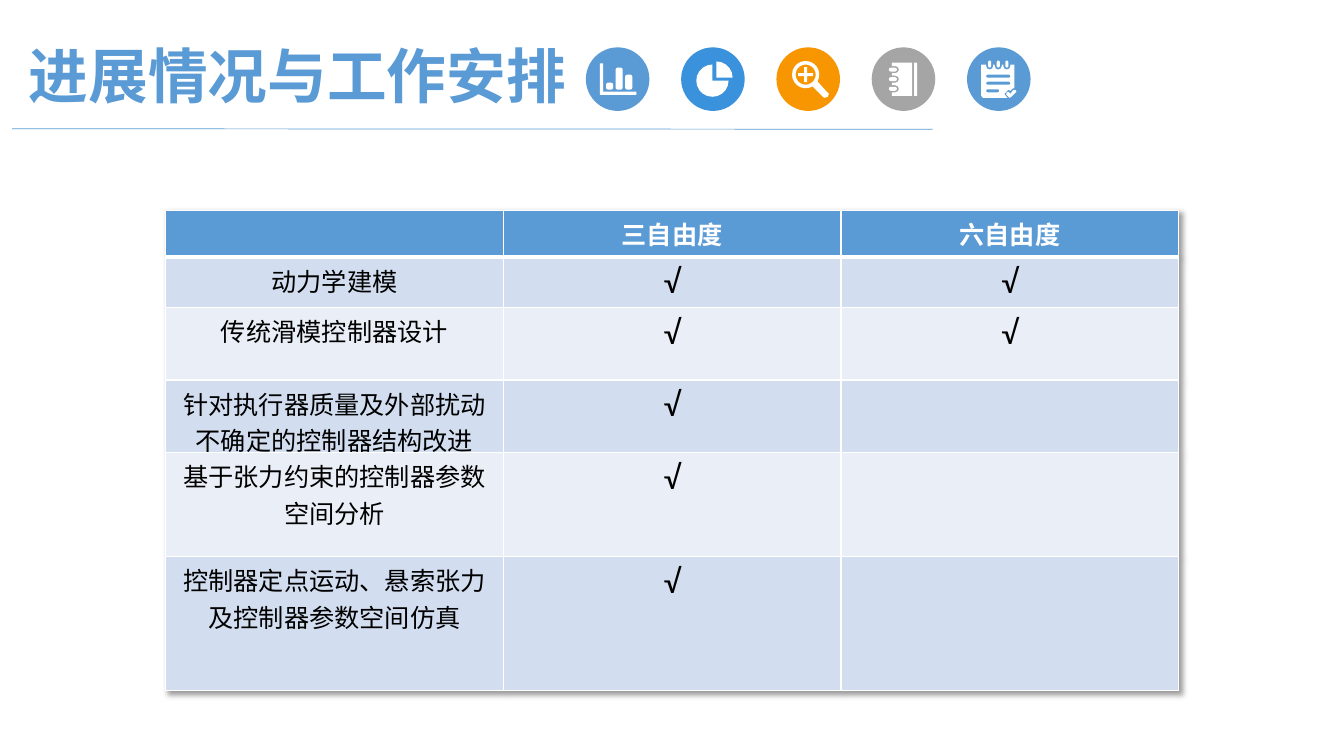
import dataclasses
import math

import lxml.etree
import pptx
import pptx.dml.color
import pptx.enum.shapes
import pptx.enum.text
import pptx.oxml
import pptx.oxml.ns
import pptx.shapes.autoshape
import pptx.slide
import pptx.table
import pptx.text.text
import pptx.util

RGBColor = pptx.dml.color.RGBColor
BLUE = RGBColor(0x5B, 0x9B, 0xD5)
BRIGHT_BLUE = RGBColor(0x39, 0x92, 0xDB)
ORANGE = RGBColor(0xF7, 0x96, 0x00)
GREY = RGBColor(0xA5, 0xA5, 0xA5)
BAND_DARK = RGBColor(0xD2, 0xDE, 0xEF)
BAND_LIGHT = RGBColor(0xEA, 0xEF, 0xF7)
WHITE = RGBColor(0xFF, 0xFF, 0xFF)
BLACK = RGBColor(0x00, 0x00, 0x00)

SLIDE_WIDTH = pptx.util.Inches(13.33)
SLIDE_HEIGHT = pptx.util.Inches(7.5)
TITLE_FONT = "Noto Sans CJK SC"
TABLE_FONT = "Calibri"
DISC_UNITS = 63  # icon outlines lie on a 63 x 63 grid inside their disc
FINE = 100

Point = tuple[float, float]
Contour = list[Point]


@dataclasses.dataclass
class Icon:
    disc: RGBColor
    contours: list[Contour]


@dataclasses.dataclass
class Step:
    label: str
    height: float
    three_dof: bool = False
    six_dof: bool = False


def across(percent: float) -> pptx.util.Emu:
    return pptx.util.Emu(round(SLIDE_WIDTH * percent / 100))


def down(percent: float) -> pptx.util.Emu:
    return pptx.util.Emu(round(SLIDE_HEIGHT * percent / 100))


def arc(x: float, y: float, radius: float, start: int, end: int) -> Contour:
    """Points along an arc; degrees run clockwise from the right."""
    count = math.ceil(abs(end - start) / (18 if radius > 5 else 45))
    angles = [math.radians(start + (end - start) * i / count) for i in range(count + 1)]
    return [(x + radius * math.cos(a), y + radius * math.sin(a)) for a in angles]


def rounded(left: float, top: float, right: float, bottom: float, radius: float = 1.5) -> Contour:
    return (arc(right - radius, bottom - radius, radius, 0, 90)
            + arc(left + radius, bottom - radius, radius, 90, 180)
            + arc(left + radius, top + radius, radius, 180, 270)
            + arc(right - radius, top + radius, radius, 270, 360))


def bar_chart() -> list[Contour]:
    axes = [(14, 16), (17, 16), (17, 44), (50, 44), (50, 47), (14, 47)]
    return [axes] + [rounded(left, top, left + 7, 42, 2)
                     for left, top in ((20, 35), (29.5, 20), (39, 27))]


def pie() -> list[Contour]:
    return [[(35, 30)] + arc(35, 30, 16, -90, 0), [(31, 33)] + arc(31, 33, 16, 0, 270)]


def magnifier() -> list[Contour]:
    x, y, reach, half = 29, 27, 7.5, 1.5
    handle = [(50, 44), (52, 46), (51, 49), (48, 50), (46, 49)]
    plus = [(-half, -reach), (half, -reach), (half, -half), (reach, -half),
            (reach, half), (half, half), (half, reach), (-half, reach),
            (-half, half), (-reach, half), (-reach, -half), (-half, -half)]
    return [arc(x, y, 13.5, 60, 390) + handle, arc(x, y, 10, 0, 360),
            [(x + dx, y + dy) for dx, dy in plus]]


def notebook() -> list[Contour]:
    ring_rows = (22, 31.5, 41)
    cover = [(20, 15), (40, 15), (40, 48), (20, 48)]
    for y in reversed(ring_rows):
        cover += [(20, y + 3.5)] + arc(23.5, y, 3.5, 90, -90) + [(20, y - 3.5)]
    return [cover, [(42, 15), (45, 15), (45, 48), (42, 48)]] + [
        rounded(17, y - 2, 25, y + 2, 1.9) for y in ring_rows]


def checklist() -> list[Contour]:
    ring_columns = (22.5, 31, 39.5)
    page = [(14, 17)]
    for x in ring_columns:
        page += [(x - 3.5, 17)] + arc(x, 18.5, 3.5, 180, 0) + [(x + 3.5, 17)]
    page += [(47, 17), (47, 40), (45, 41), (43, 43), (41, 42), (37, 46),
             (40, 50), (16, 50), (14, 48)]
    check = [(48, 45), (44, 49), (42, 50), (39, 47), (39, 45), (41, 44),
             (43, 46), (46, 42), (48, 42), (49, 44)]
    lines = [rounded(19, top, right, top + 3, 1.4) for top, right in ((27, 43), (34, 43), (41.5, 32))]
    return [page, check] + lines + [rounded(x - 1.5, 13, x + 1.5, 20) for x in ring_columns]


ICONS = [Icon(BLUE, bar_chart()), Icon(BRIGHT_BLUE, pie()), Icon(ORANGE, magnifier()),
         Icon(GREY, notebook()), Icon(BLUE, checklist())]
HEADINGS = ("", "三自由度", "六自由度")
HEADING_HEIGHT = 6.13
TABLE_HEIGHT = 69.07
STEPS = [
    Step("动力学建模", 6.13, three_dof=True, six_dof=True),
    Step("传统滑模控制器设计", 9.6, three_dof=True, six_dof=True),
    Step("针对执行器质量及外部扰动不确定的控制器结构改进", 9.6, three_dof=True),
    Step("基于张力约束的控制器参数空间分析", 13.73, three_dof=True),
    Step("控制器定点运动、悬索张力及控制器参数空间仿真", 17.73, three_dof=True),
]


def write(paragraph: pptx.text.text._Paragraph, text: str, font: str, size: float,
          color: RGBColor, bold: bool = False) -> None:
    paragraph.text = text
    paragraph.alignment = pptx.enum.text.PP_ALIGN.CENTER
    paragraph.font.name = font
    paragraph.font.size = pptx.util.Pt(size)
    paragraph.font.bold = bold
    paragraph.font.color.rgb = color


def add_title(slide: pptx.slide.Slide) -> None:
    frame = slide.shapes.add_textbox(across(0.9), down(5.07), across(42.46), down(9.6)).text_frame
    frame.word_wrap = True
    frame.vertical_anchor = pptx.enum.text.MSO_ANCHOR.MIDDLE
    write(frame.paragraphs[0], "进展情况与工作安排", TITLE_FONT, 42.6, BLUE, bold=True)


def paint(shape: pptx.shapes.autoshape.Shape, color: RGBColor) -> None:
    shape.fill.solid()
    shape.fill.fore_color.rgb = color
    shape.line.fill.background()
    shape.shadow.inherit = False


def add_icon(slide: pptx.slide.Slide, icon: Icon, column: int) -> None:
    left, top, size = across(43.59 + 7.09 * column), down(6.27), across(4.73)
    paint(slide.shapes.add_shape(pptx.enum.shapes.MSO_SHAPE.OVAL, left, top, size, size), icon.disc)
    outlines = [[(x * FINE, y * FINE) for x, y in contour] for contour in icon.contours]
    builder = slide.shapes.build_freeform(*outlines[0][0], scale=size / (DISC_UNITS * FINE))
    for index, outline in enumerate(outlines):
        if index:
            builder.move_to(*outline[0])
        builder.add_line_segments(outline[1:], close=True)
    paint(builder.convert_to_shape(left, top), WHITE)


def set_borders(cell: pptx.table._Cell, top: float, bottom: float) -> None:
    widths = {"L": 1, "R": 1, "T": top, "B": bottom}
    for index, (side, width) in enumerate(widths.items()):
        cell._tc.get_or_add_tcPr().insert(index, pptx.oxml.parse_xml(
            f'<a:ln{side} {pptx.oxml.ns.nsdecls("a")} w="{pptx.util.Pt(width)}">'
            f'<a:solidFill><a:srgbClr val="{WHITE}"/></a:solidFill></a:ln{side}>'))


def add_progress_table(slide: pptx.slide.Slide) -> None:
    heights = [HEADING_HEIGHT] + [step.height for step in STEPS]
    frame = slide.shapes.add_table(len(heights), len(HEADINGS), across(12.32), down(27.87),
                                   across(75.38), down(TABLE_HEIGHT))
    table = frame.table
    table._tbl.tblPr.insert(0, pptx.oxml.parse_xml(
        f'<a:effectLst {pptx.oxml.ns.nsdecls("a")}><a:outerShdw blurRad="50800" dist="38100" '
        'dir="2700000" algn="tl"><a:srgbClr val="000000"><a:alpha val="40000"/></a:srgbClr>'
        '</a:outerShdw></a:effectLst>'))
    rows = [HEADINGS] + [(step.label, "√" * step.three_dof, "√" * step.six_dof) for step in STEPS]
    for r, (texts, height) in enumerate(zip(rows, heights)):
        table.rows[r].height = down(height)
        for c, text in enumerate(texts):
            cell = table.cell(r, c)
            cell.fill.solid()
            cell.fill.fore_color.rgb = BLUE if r == 0 else BAND_DARK if r % 2 else BAND_LIGHT
            set_borders(cell, top=3 if r == 1 else 1, bottom=3 if r == 0 else 1)
            if text:
                write(cell.text_frame.paragraphs[0], text, TABLE_FONT, 24 if text == "√" else 18,
                      BLACK if r else WHITE, bold=r == 0)
    frame.height = down(TABLE_HEIGHT)


def add_title_rule(slide: pptx.slide.Slide) -> None:
    rule = slide.shapes.add_connector(pptx.enum.shapes.MSO_CONNECTOR.STRAIGHT,
                                      across(0.9), down(17.03), across(69.39), down(17.1))
    rule.line.color.rgb = BLUE
    rule.line.width = pptx.util.Pt(0.5)
    lxml.etree.SubElement(rule._element.spPr, pptx.oxml.ns.qn("a:effectLst"))


def main() -> None:
    deck = pptx.Presentation()
    deck.slide_width, deck.slide_height = SLIDE_WIDTH, SLIDE_HEIGHT
    slide = deck.slides.add_slide(deck.slide_layouts[6])
    add_title(slide)
    for column, icon in enumerate(ICONS):
        add_icon(slide, icon, column)
    add_progress_table(slide)
    add_title_rule(slide)
    deck.save("out.pptx")


if __name__ == "__main__":
    main()
